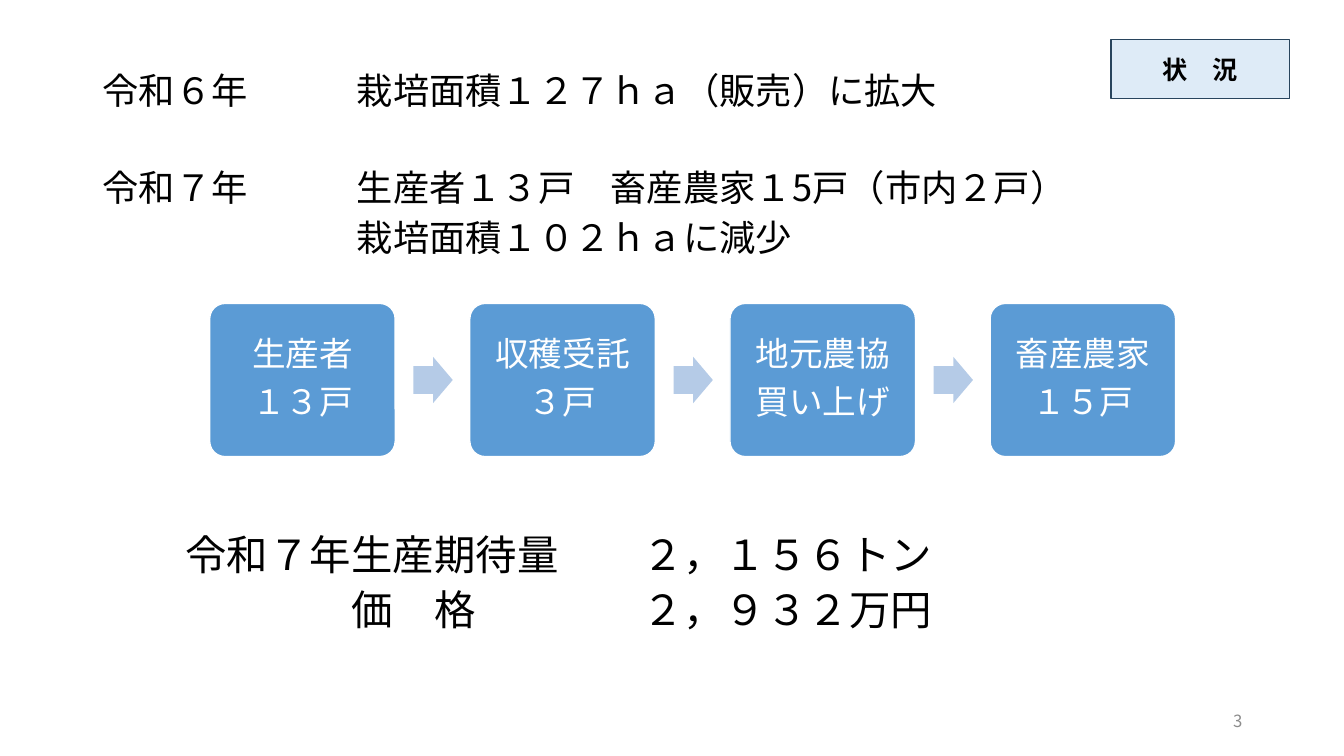
import pptx
import pptx.util
import pptx.dml.color
import pptx.enum.lang
import pptx.enum.shapes
import pptx.enum.text
from lxml import etree

Inches, Pt = pptx.util.Inches, pptx.util.Pt
RGBColor = pptx.dml.color.RGBColor
MSO_SHAPE = pptx.enum.shapes.MSO_SHAPE
PP_ALIGN = pptx.enum.text.PP_ALIGN
MSO_ANCHOR = pptx.enum.text.MSO_ANCHOR
JAPANESE = pptx.enum.lang.MSO_LANGUAGE_ID.JAPANESE

FONT = "Noto Sans CJK JP"
BLACK = RGBColor(0x00, 0x00, 0x00)
WHITE = RGBColor(0xFF, 0xFF, 0xFF)
GRAY = RGBColor(0x8C, 0x8C, 0x8C)
BLUE = RGBColor(0x5B, 0x9B, 0xD5)
ARROW_BLUE = RGBColor(0xB5, 0xCB, 0xE7)
PALE_BLUE = RGBColor(0xDE, 0xEB, 0xF7)
NAVY = RGBColor(0x28, 0x44, 0x5D)
A = "{http://schemas.openxmlformats.org/drawingml/2006/main}"

# text, space before, tab stops
YEARS = [
    ("令和６年\t栽培面積１２７ｈａ（販売）に拡大", 0, [2.52]),
    ("令和７年\t生産者１３戸　畜産農家１5戸（市内２戸）", 44.3, [2.52]),
    ("\t栽培面積１０２ｈａに減少", 10.7, [2.52]),
]
FORECAST = [
    ("\t令和７年生産期待量\t２，１５６トン", 0, [0.82, 5.35]),
    ("\t価　格\t２，９３２万円", 10.7, [2.47, 5.35]),
]
STEPS = [("生産者", "１３戸"), ("収穫受託", "３戸"),
         ("地元農協", "買い上げ"), ("畜産農家", "１５戸")]


def style(p, size, color, align=PP_ALIGN.LEFT, bold=False):
    p.alignment = align
    p.font.size, p.font.bold, p.font.name = Pt(size), bold, FONT
    p.font.color.rgb = color
    ea = etree.SubElement(p.font._element, A + "ea", typeface=FONT)
    p.font._element.find(A + "latin").addnext(ea)
    for r in p.runs:
        r.font.language_id = JAPANESE


def set_tabs(p, stops):
    tabs = etree.SubElement(p._p.get_or_add_pPr(), A + "tabLst")
    for stop in stops:
        etree.SubElement(tabs, A + "tab", pos=str(Inches(stop)), algn="l")


def add_text_frame(s, x, y, w, h):
    tf = s.shapes.add_textbox(Inches(x), Inches(y), Inches(w), Inches(h)).text_frame
    tf.word_wrap = True
    return tf


def add_block(s, kind, x, y, w, h, fill, line=None):
    sp = s.shapes.add_shape(kind, Inches(x), Inches(y), Inches(w), Inches(h))
    sp.shadow.inherit = False
    sp.fill.solid()
    sp.fill.fore_color.rgb = fill
    if line is None:
        sp.line.fill.background()
    else:
        sp.line.color.rgb = line
        sp.line.width = Pt(1)
    return sp


def add_tabbed_lines(s, lines, size, x, y, w, h):
    tf = add_text_frame(s, x, y, w, h)
    for i, (text, before, stops) in enumerate(lines):
        p = tf.add_paragraph() if i else tf.paragraphs[0]
        p.text = text
        set_tabs(p, stops)
        p.line_spacing = 0.8
        p.space_before = Pt(before)
        style(p, size, BLACK)


def add_flow(s, x, y, w, h):
    box_w, arrow_w, arrow_h = 1.84, 0.39, 0.46
    pitch = (w - box_w) / (len(STEPS) - 1)
    for i, lines in enumerate(STEPS):
        left = x + i * pitch
        if i:
            arrow = add_block(s, MSO_SHAPE.RIGHT_ARROW, left - 0.56,
                              y + (h - arrow_h) / 2, arrow_w, arrow_h, ARROW_BLUE)
            arrow.adjustments[0] = 0.6
        box = add_block(s, MSO_SHAPE.ROUNDED_RECTANGLE, left, y, box_w, h, BLUE, WHITE)
        box.adjustments[0] = 0.1
        tf = box.text_frame
        tf.vertical_anchor = MSO_ANCHOR.MIDDLE
        tf.text = "\n".join(lines)
        for p in tf.paragraphs:
            p.line_spacing = 0.9
            p.space_after = Pt(8.4)
            style(p, 24, WHITE, PP_ALIGN.CENTER)


def add_tag(s, x, y, w, h):
    tag = add_block(s, MSO_SHAPE.RECTANGLE, x, y, w, h, PALE_BLUE, NAVY)
    tf = tag.text_frame
    tf.vertical_anchor = MSO_ANCHOR.MIDDLE
    tf.text = "状　況"
    style(tf.paragraphs[0], 18, BLACK, PP_ALIGN.CENTER, True)


def add_page_number(s, x, y, w, h):
    tf = add_text_frame(s, x, y, w, h)
    tf.vertical_anchor = MSO_ANCHOR.MIDDLE
    tf.text = "3"
    style(tf.paragraphs[0], 12, GRAY, PP_ALIGN.RIGHT)


def main():
    prs = pptx.Presentation()
    prs.slide_width, prs.slide_height = Inches(13.33), Inches(7.5)
    s = prs.slides.add_slide(prs.slide_layouts[6])
    add_tabbed_lines(s, YEARS, 25.9, 0.92, 0.71, 11.5, 2)
    add_tabbed_lines(s, FORECAST, 29.6, 0.92, 5.3, 11.5, 1.13)
    add_page_number(s, 9.42, 6.95, 3, 0.4)
    add_flow(s, 2.08, 3.01, 9.58, 1.52)
    add_tag(s, 11.02, 0.39, 1.77, 0.59)
    prs.save("out.pptx")


if __name__ == "__main__":
    main()
